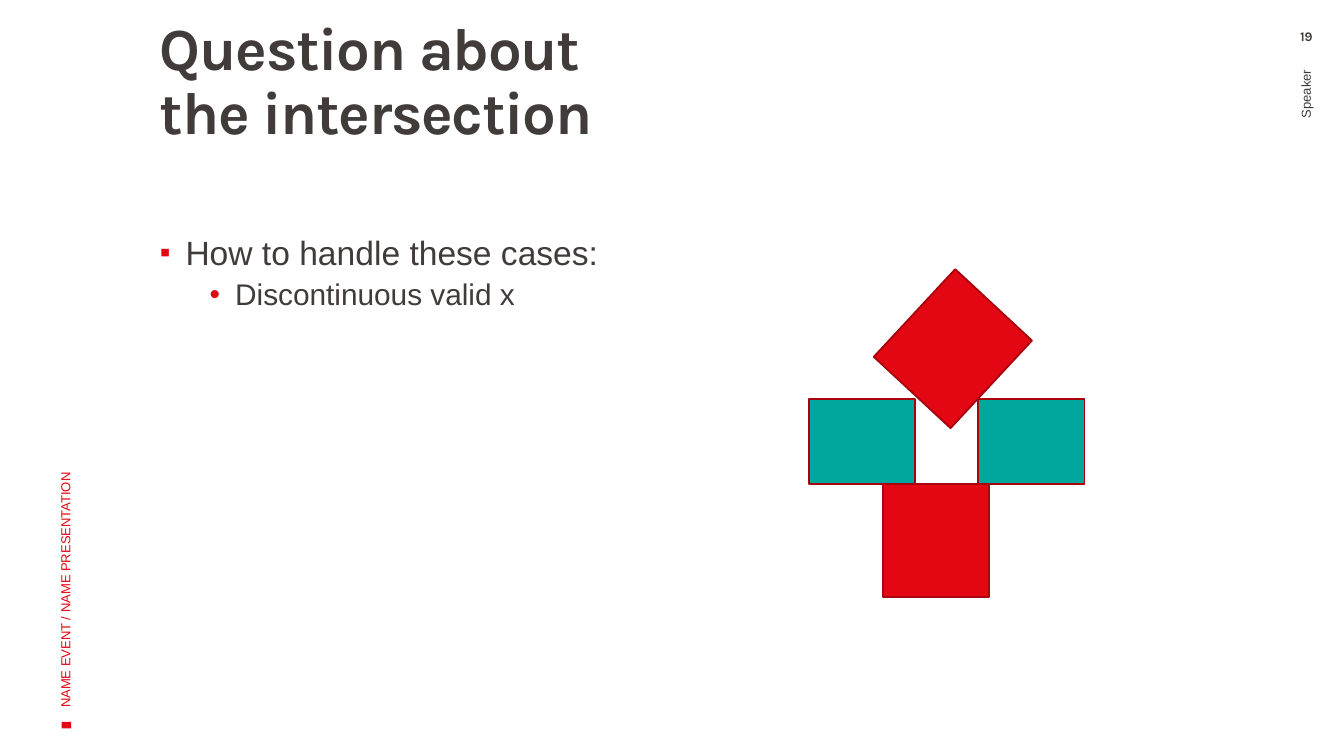
"""Build the slide with a question about discontinuous intersections."""
from lxml.etree import SubElement
from pptx import Presentation
from pptx.dml.color import RGBColor
from pptx.enum.shapes import MSO_SHAPE
from pptx.enum.text import MSO_ANCHOR, PP_ALIGN
from pptx.oxml.ns import qn
from pptx.util import Inches, Pt

COLORS = {"red": "E30613", "edge": "A8040E", "teal": "00A79F", "ink": "413C3A"}


def add_text(box, lines, pads, font="Arial", color="ink", bold=False,
             align=PP_ALIGN.LEFT, anchor=MSO_ANCHOR.TOP, turn=0):
    shape = slide.shapes.add_textbox(*map(Inches, box))
    shape.rotation = turn
    frame = shape.text_frame
    frame.word_wrap = True
    frame.vertical_anchor = anchor
    frame.margin_left, frame.margin_top, frame.margin_right, frame.margin_bottom = map(Inches, pads)
    for i, (text, size) in enumerate(lines):
        para = frame.add_paragraph() if i else frame.paragraphs[0]
        para.text = text
        para.alignment = align
        para.font.name = font
        para.font.size = Pt(size)
        para.font.bold = bold
        para.font.color.rgb = RGBColor.from_string(COLORS[color])
    return frame.paragraphs


def add_rect(box, fill, edge=None, turn=0):
    shape = slide.shapes.add_shape(MSO_SHAPE.RECTANGLE, *map(Inches, box))
    shape.shadow.inherit = False
    shape.rotation = turn
    shape.fill.solid()
    shape.fill.fore_color.rgb = RGBColor.from_string(COLORS[fill])
    if edge:
        shape.line.color.rgb = RGBColor.from_string(COLORS[edge])
        shape.line.width = Pt(1)
    else:
        shape.line.fill.background()


deck = Presentation()
deck.slide_width = Inches(10)
deck.slide_height = Inches(10 * 9 / 16)
slide = deck.slides.add_slide(deck.slide_layouts[6])

add_rect((0.47, 5.36, 0.05, 0.07), "red", turn=270)

points = add_text((0.99, 1.71, 8.45, 3.7),
                  [("How to handle these cases:", 18), ("Discontinuous valid x", 16)],
                  (0.2, 0.05, 0.1, 0.05))
styles = [(0.19, 7.5, "▪", 90), (0.56, 3.8, "•", 100)]
for level, (para, (left, before, mark, scale)) in enumerate(zip(points, styles)):
    para.level = level
    para.line_spacing = 0.9
    para.space_before = Pt(before)
    props = para._p.get_or_add_pPr()
    props.set("marL", str(Inches(left)))
    props.set("indent", str(Inches(-0.19)))
    bullet = [SubElement(props, qn("a:buClr")), SubElement(props, qn("a:buSzPct")),
              SubElement(props, qn("a:buFont")), SubElement(props, qn("a:buChar"))]
    SubElement(bullet[0], qn("a:srgbClr")).set("val", COLORS["red"])
    bullet[1].set("val", str(scale * 1000))
    bullet[2].set("typeface", "Arial")
    bullet[3].set("char", mark)
    props.append(props.find(qn("a:defRPr")))

title = add_text((0.99, 0.14, 4.01, 1.17), [("Question about the intersection", 32)],
                 (0.2, 0, 0.08, 0.05), font="Karla", bold=True)[0]
title.line_spacing = 0.9
title.runs[0]._r.get_or_add_rPr().set("spc", "-70")

pads = (0.1, 0.05, 0.1, 0.05)
add_text((-1.34, 3.04, 3.65, 1), [("NAME EVENT / NAME PRESENTATION", 7)], pads,
         color="red", anchor=MSO_ANCHOR.MIDDLE, turn=270)
add_text((7.78, 2.05, 3.87, 0.56), [("Speaker ", 7)], pads,
         align=PP_ALIGN.RIGHT, anchor=MSO_ANCHOR.MIDDLE, turn=270)
add_text((9.44, 0.21, 0.56, 0.18), [("19", 7)], (0.1, 0, 0.1, 0),
         font="Karla", bold=True, align=PP_ALIGN.CENTER)

add_rect((6.57, 3.6, 0.79, 0.84), "red", "edge")
add_rect((6.7, 2.15, 0.78, 0.89), "red", "edge", 42.9)
for left in (6.02, 7.28):
    add_rect((left, 2.97, 0.79, 0.63), "teal", "edge")

deck.save("out.pptx")
